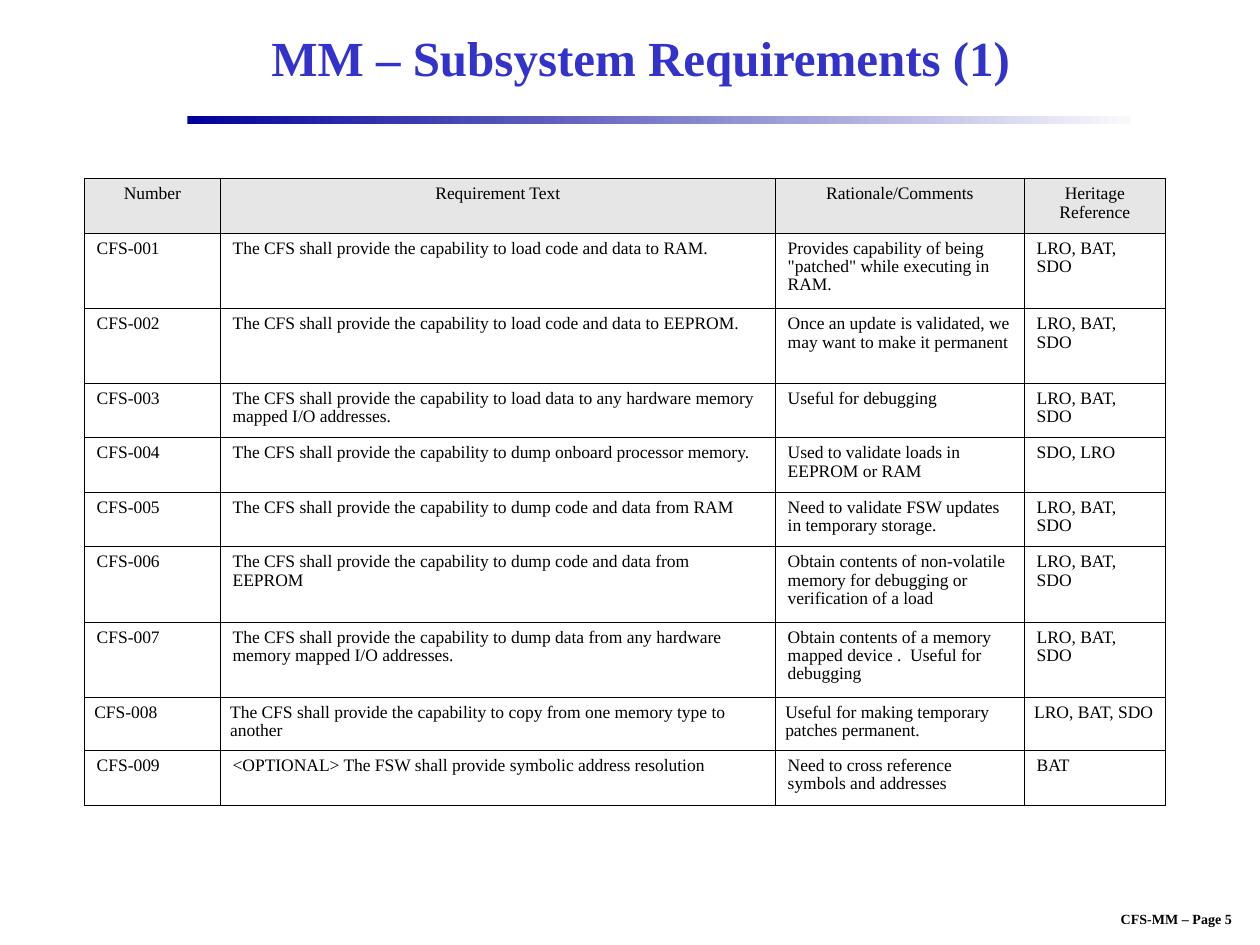
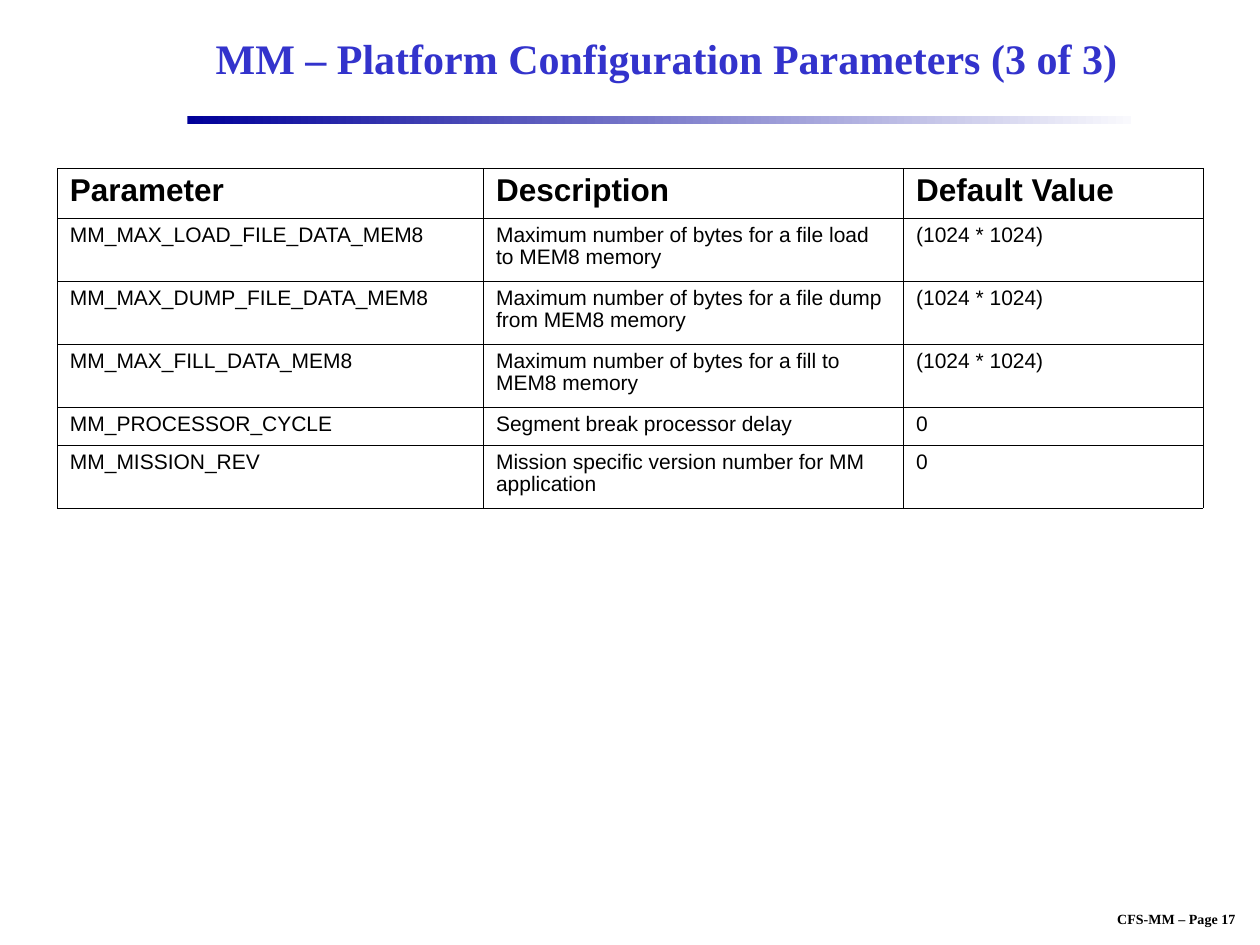
from lxml import etree
from pptx import Presentation
from pptx.dml.color import RGBColor
from pptx.enum.shapes import MSO_SHAPE
from pptx.enum.text import MSO_ANCHOR, MSO_AUTO_SIZE, PP_ALIGN
from pptx.oxml.ns import qn
from pptx.util import Cm, Pt

RECTANGLE = MSO_SHAPE.RECTANGLE
MIDDLE = MSO_ANCHOR.MIDDLE
NO_AUTOFIT = MSO_AUTO_SIZE.NONE
LEFT, CENTER = PP_ALIGN.LEFT, PP_ALIGN.CENTER
TITLE_ONLY = 5

COLORS = {
    "title": "3333CC",
    "band_start": "000099",
    "band_end": "F9F9FD",
    "text": "000000",
    "border": "000000",
    "header": "E6E6E6",
    "page": "FFFFFF",
}
SERIF, SANS = "Times New Roman", "Arial"
BORDER_WIDTH = Pt(0.45)
CELL_INSET, NARROW_INSET, VERTICAL_INSET = 0.25, 0.2, 0.13

REQUIREMENTS = [
    ("Number", "Requirement Text", "Rationale/Comments", "Heritage Reference"),
    ("CFS-001", "The CFS shall provide the capability to load code and data to RAM.",
     'Provides capability of being "patched" while executing in RAM.', "LRO, BAT, SDO"),
    ("CFS-002", "The CFS shall provide the capability to load code and data to EEPROM.",
     "Once an update is validated, we may want to make it permanent", "LRO, BAT, SDO"),
    ("CFS-003", "The CFS shall provide the capability to load data to any hardware memory "
     "mapped I/O addresses.", "Useful for debugging", "LRO, BAT, SDO"),
    ("CFS-004", "The CFS shall provide the capability to dump onboard processor memory.",
     "Used to validate loads in EEPROM or RAM", "SDO, LRO"),
    ("CFS-005", "The CFS shall provide the capability to dump code and data from RAM",
     "Need to validate FSW updates in temporary storage.", "LRO, BAT, SDO"),
    ("CFS-006", "The CFS shall provide the capability to dump code and data from EEPROM",
     "Obtain contents of non-volatile memory for debugging or verification of a load",
     "LRO, BAT, SDO"),
    ("CFS-007", "The CFS shall provide the capability to dump data from any hardware memory "
     "mapped I/O addresses.",
     "Obtain contents of a memory mapped device .  Useful for debugging", "LRO, BAT, SDO"),
    ("CFS-008", "The CFS shall provide the capability to copy from one memory type to another",
     "Useful for making temporary patches permanent.", "LRO, BAT, SDO"),
    ("CFS-009", "<OPTIONAL> The FSW shall provide symbolic address resolution",
     "Need to cross reference symbols and addresses", "BAT"),
]
REQUIREMENT_COLUMNS = [2.74, 11.19, 5.02, 2.84]
REQUIREMENT_ROWS = [1.1, 1.52, 1.5, 1.1, 1.1, 1.1, 1.52, 1.52, 1.03, 1.1]
COPY_REQUIREMENT_ROW = 8

PARAMETERS = [
    ("Parameter", "Description", "Default Value"),
    ("MM_MAX_LOAD_FILE_DATA_MEM8",
     "Maximum number of bytes for a file load to MEM8 memory", "(1024 * 1024)"),
    ("MM_MAX_DUMP_FILE_DATA_MEM8",
     "Maximum number of bytes for a file dump from MEM8 memory", "(1024 * 1024)"),
    ("MM_MAX_FILL_DATA_MEM8",
     "Maximum number of bytes for a fill to MEM8 memory", "(1024 * 1024)"),
    ("MM_PROCESSOR_CYCLE", "Segment break processor delay", "0"),
    ("MM_MISSION_REV", "Mission specific version number for MM application", "0"),
]
PARAMETER_COLUMNS = [8.59, 8.47, 6.03]
PARAMETER_ROWS = [1.01, 1.27, 1.27, 1.27, 0.76, 1.27]


def rgb(name):
    return RGBColor.from_string(COLORS[name])


def write_text(frame, text, *, size, font=SERIF, color="text", bold=False,
               align=LEFT, spacing=1.0):
    para = frame.paragraphs[0]
    para.alignment = align
    para.line_spacing = spacing
    span = para.add_run()
    span.text = text
    span.font.name = font
    span.font.size = Pt(size)
    span.font.bold = bold
    span.font.color.rgb = rgb(color)


def place_title(page, text, *, width, size):
    title = page.shapes.title
    title.left, title.top, title.width, title.height = Cm(3.81), Cm(0.2), Cm(width), Cm(1.91)
    frame = title.text_frame
    frame.auto_size = NO_AUTOFIT
    frame.vertical_anchor = MIDDLE
    write_text(frame, text, size=size, color="title", bold=True, align=CENTER)


def add_band(page):
    band = page.shapes.add_shape(RECTANGLE, Cm(3.78), Cm(2.33), Cm(19.02), Cm(0.18))
    band.shadow.inherit = False
    band.line.fill.background()
    band.fill.gradient()
    band.fill.gradient_angle = 0
    for stop, position, name in zip(band.fill.gradient_stops, (0, 1),
                                    ("band_start", "band_end")):
        stop.position = position
        stop.color.rgb = rgb(name)


def add_footer(page, number):
    box = page.shapes.add_textbox(Cm(21.77), Cm(18.24), Cm(3.89), Cm(0.58))
    box.text_frame.word_wrap = False
    write_text(box.text_frame, f"CFS-MM – Page {number}", size=8, bold=True, align=CENTER)


def add_page(deck, title, *, number, title_width, title_size):
    page = deck.slides.add_slide(deck.slide_layouts[TITLE_ONLY])
    add_footer(page, number)
    add_band(page)
    place_title(page, title, width=title_width, size=title_size)
    return page


def outline_cell(cell):
    properties = cell._tc.get_or_add_tcPr()
    for index, side in enumerate(("lnL", "lnR", "lnT", "lnB")):
        line = etree.Element(qn(f"a:{side}"), w=str(BORDER_WIDTH))
        fill = etree.SubElement(line, qn("a:solidFill"))
        etree.SubElement(fill, qn("a:srgbClr"), val=COLORS["border"])
        properties.insert(index, line)


def fill_cell(cell, text, *, fill="page", inset=CELL_INSET, **text_format):
    cell.margin_left = cell.margin_right = Cm(inset)
    cell.margin_top = cell.margin_bottom = Cm(VERTICAL_INSET)
    cell.fill.solid()
    cell.fill.fore_color.rgb = rgb(fill)
    outline_cell(cell)
    write_text(cell.text_frame, text, spacing=0.95, **text_format)


def add_grid(page, records, *, left, top, columns, rows, header, body, narrow_row=None):
    table = page.shapes.add_table(len(rows), len(columns), Cm(left), Cm(top),
                                  Cm(sum(columns)), Cm(sum(rows))).table
    table.first_row = table.horz_banding = False
    for column, width in zip(table.columns, columns):
        column.width = Cm(width)
    for index, (row, height, record) in enumerate(zip(table.rows, rows, records)):
        row.height = Cm(height)
        inset = NARROW_INSET if index == narrow_row else CELL_INSET
        for cell, text in zip(row.cells, record):
            fill_cell(cell, text, inset=inset, **(body if index else header))


def main():
    deck = Presentation()
    deck.slide_width, deck.slide_height = Cm(25.4), Cm(19.05)

    page = add_page(deck, "MM – Subsystem Requirements (1)",
                    number=5, title_width=18.21, title_size=28)
    add_grid(page, REQUIREMENTS, left=1.7, top=3.6,
             columns=REQUIREMENT_COLUMNS, rows=REQUIREMENT_ROWS,
             header={"size": 10, "align": CENTER, "fill": "header"},
             body={"size": 10}, narrow_row=COPY_REQUIREMENT_ROW)

    page = add_page(deck, "MM – Platform Configuration Parameters (3 of 3)",
                    number=17, title_width=19.25, title_size=24)
    add_grid(page, PARAMETERS, left=1.16, top=3.39,
             columns=PARAMETER_COLUMNS, rows=PARAMETER_ROWS,
             header={"size": 18, "font": SANS, "bold": True},
             body={"size": 12, "font": SANS})

    deck.save("out.pptx")


if __name__ == "__main__":
    main()
